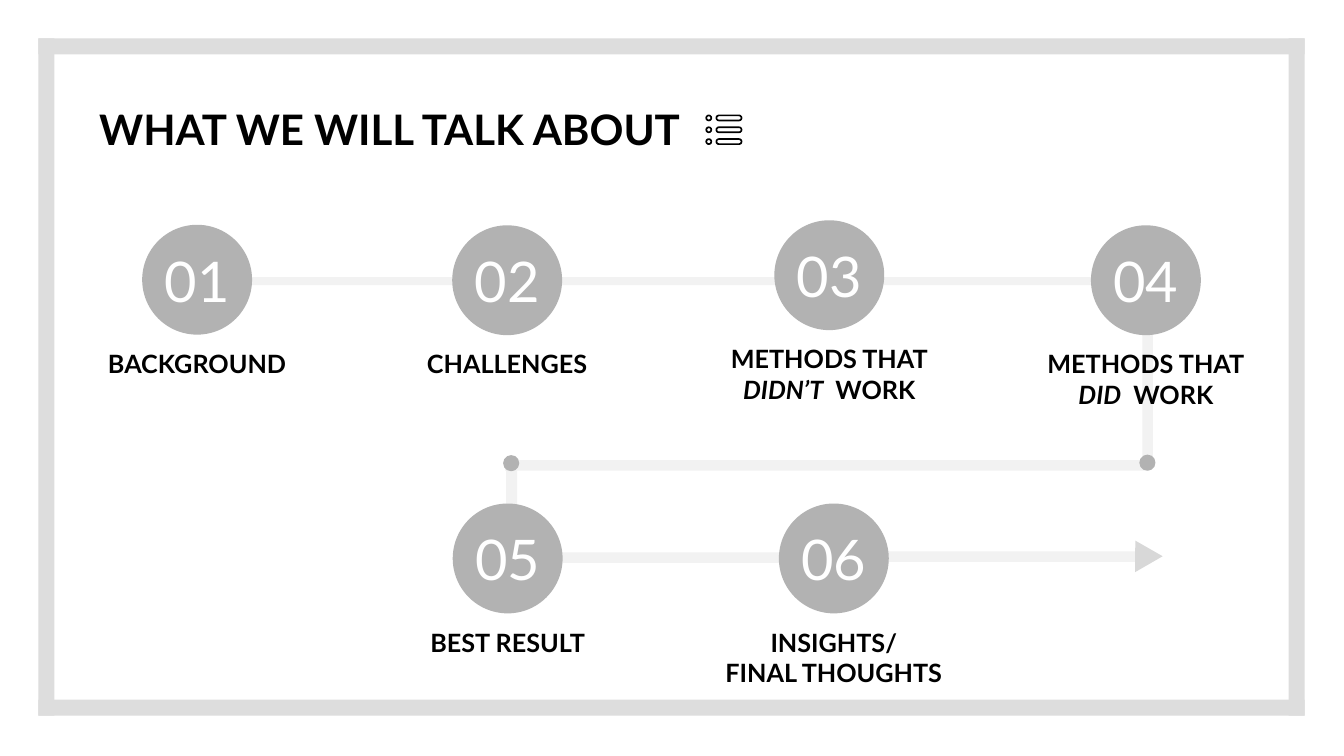
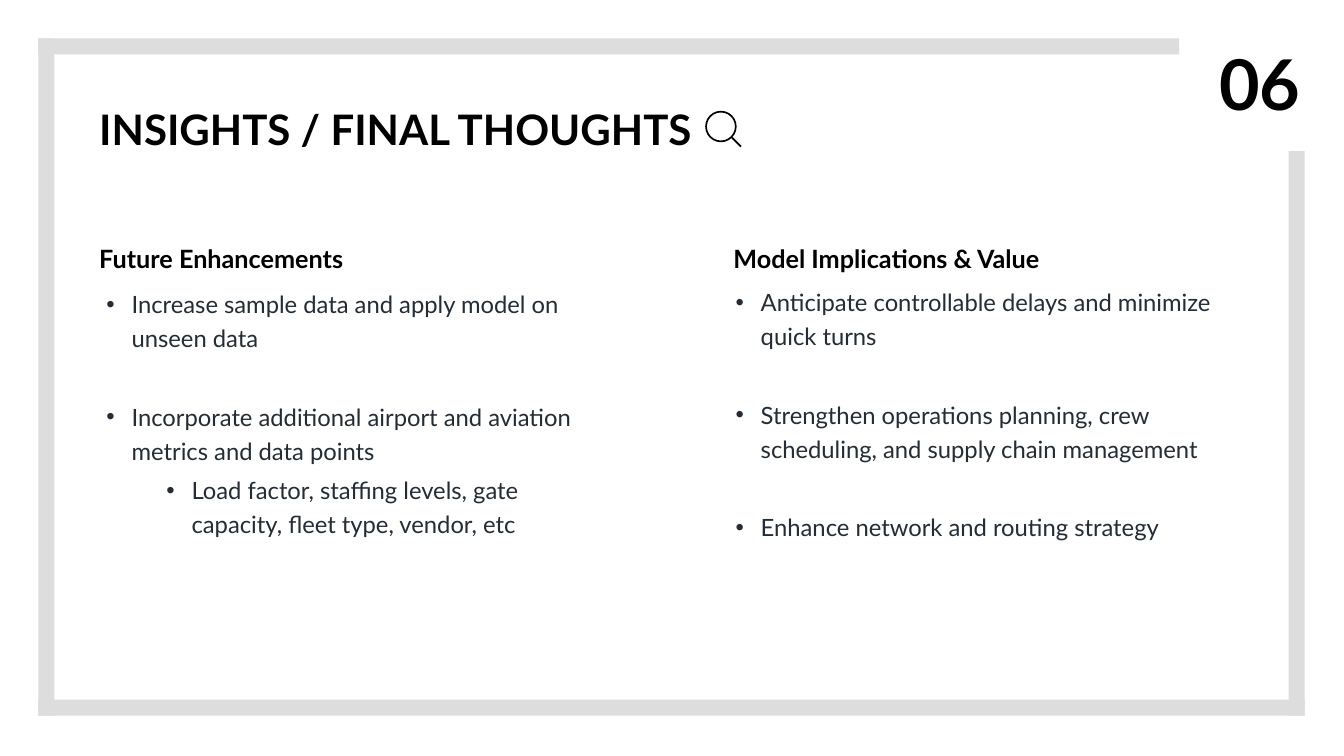
from lxml import etree
from pptx import Presentation, util as u
from pptx.dml.color import RGBColor
from pptx.enum import shapes, text
from pptx.oxml import ns

# The grid has square cells: 26.66 columns by 15 rows.
CELL = u.Inches(1)
COLUMNS, ROWS = 26.66, 15

BLACK = RGBColor(0x00, 0x00, 0x00)
WHITE = RGBColor(0xFF, 0xFF, 0xFF)
INK = RGBColor(0x24, 0x2C, 0x35)
FRAME_GRAY = RGBColor(0xDD, 0xDD, 0xDD)
TRACK_GRAY = RGBColor(0xF2, 0xF2, 0xF2)
ARROW_GRAY = RGBColor(0xD8, 0xD8, 0xD8)
STEP_GRAY = RGBColor(0xB2, 0xB2, 0xB2)

FONT = "Lato"
TITLE = {"size": u.Pt(60), "bold": True}
HEADING = {"size": u.Pt(36), "bold": True}
PAGE_NUMBER = {"size": u.Pt(100), "bold": True}
STEP_NUMBER = {"size": u.Pt(80), "color": WHITE}
BODY = {"size": u.Pt(34), "color": INK}

LEFT, TOP, RIGHT, BOTTOM, BAND = 0.76, 0.76, 25.88, 14.2, 0.32
CONTENT_LEFT = 1.87
STEP_SIZE, DOT_SIZE = 2.18, 0.32
LABEL_WIDTH, LABEL_DROP = 4.96, 1.31
ITEM_GAP = 6.8
GROUP_GAP = 62.6
ICON_LINE = u.Pt(2.4)

STEPS = [
    (3.91, 5.55, [["BACKGROUND"]]),
    (10.06, 5.56, [["CHALLENGES"]]),
    (16.45, 5.46, [["METHODS THAT"], ["*DIDN’T", "  WORK"]]),
    (22.73, 5.56, [["METHODS THAT"], ["*DID", "  WORK"]]),
    (10.07, 11.08, [["BEST RESULT"]]),
    (16.54, 11.08, [["INSIGHTS/"], ["FINAL THOUGHTS"]]),
]
TRACKS = [
    (3.83, 5.5, 6.42, 0.16),
    (10.11, 5.5, 6.28, 0.16),
    (16.47, 5.5, 6.16, 0.16),
    (22.66, 5.77, 0.21, 3.36),
    (10.02, 9.13, 12.79, 0.21),
    (10.04, 9.13, 0.22, 2.04),
    (10.02, 10.96, 6.58, 0.21),
    (16.48, 10.94, 6.15, 0.21),
]
CORNERS = [(22.76, 9.18), (10.14, 9.19)]

# Bullets: level, space before in points, wording
ENHANCEMENTS = [
    (0, 0, "Increase sample data and apply model on unseen data"),
    (0, GROUP_GAP, "Incorporate additional airport and aviation metrics and data points"),
    (1, ITEM_GAP, "Load factor, staffing levels, gate capacity, fleet type, vendor, etc"),
]
IMPLICATIONS = [
    (0, 0, "Anticipate controllable delays and minimize quick turns"),
    (0, GROUP_GAP, "Strengthen operations planning, crew scheduling, and supply chain management"),
    (0, GROUP_GAP, "Enhance network and routing strategy"),
]


def cells(*lengths):
    return [round(length * CELL) for length in lengths]


def set_attributes(target, values):
    for name, value in values.items():
        setattr(target, name, value)


def add_run(paragraph, wording, style):
    """Add a run; a leading asterisk marks italics."""
    run = paragraph.add_run()
    run.text = wording.lstrip("*")
    values = {"name": FONT, "italic": wording.startswith("*") or None, **style}
    run.font.color.rgb = values.pop("color", BLACK)
    set_attributes(run.font, values)


def add_form(slide, kind, box, fill=None, line_width=None):
    """Add a flat preset shape, either filled or outlined in black."""
    shape = slide.shapes.add_shape(kind, *cells(*box))
    shape.shadow.inherit = False
    if fill is None:
        shape.fill.background()
    else:
        shape.fill.solid()
        shape.fill.fore_color.rgb = fill
    if line_width is None:
        shape.line.fill.background()
    else:
        shape.line.color.rgb = BLACK
        shape.line.width = line_width
    return shape


def add_disc(slide, center_x, center_y, size, **look):
    box = (center_x - size / 2, center_y - size / 2, size, size)
    return add_form(slide, shapes.MSO_SHAPE.OVAL, box, **look)


def add_text(slide, box, lines, style, align=text.PP_ALIGN.LEFT):
    """Add a text box; each line is a list of run wordings."""
    frame = slide.shapes.add_textbox(*cells(*box)).text_frame
    frame.word_wrap = True
    for index, wordings in enumerate(lines):
        paragraph = frame.add_paragraph() if index else frame.paragraphs[0]
        paragraph.alignment = align
        for wording in wordings:
            add_run(paragraph, wording, style)


def add_title(slide, wording):
    add_text(slide, (CONTENT_LEFT, 2.01, 12.84, 1.11), [[wording]], TITLE)


def add_frame(slide, top_end=RIGHT, right_start=TOP):
    """Draw the four bands, which may leave the upper right corner open."""
    bands = [
        (LEFT, TOP, top_end - LEFT, BAND),
        (LEFT, BOTTOM - BAND, RIGHT - LEFT, BAND),
        (LEFT, TOP, BAND, BOTTOM - TOP),
        (RIGHT - BAND, right_start, BAND, BOTTOM - right_start),
    ]
    for band in bands:
        add_form(slide, shapes.MSO_SHAPE.RECTANGLE, band, FRAME_GRAY)


def add_step(slide, number, center_x, center_y, label):
    disc = add_disc(slide, center_x, center_y, STEP_SIZE, fill=STEP_GRAY)
    frame = disc.text_frame
    margins = dict.fromkeys(("margin_left", "margin_right", "margin_top", "margin_bottom"), 0)
    set_attributes(frame, {**margins, "word_wrap": False,
                           "vertical_anchor": text.MSO_ANCHOR.MIDDLE})
    frame.paragraphs[0].alignment = text.PP_ALIGN.CENTER
    add_run(frame.paragraphs[0], f"{number:02d}", STEP_NUMBER)
    box = (center_x - LABEL_WIDTH / 2, center_y + LABEL_DROP, LABEL_WIDTH, 0.11 + 0.6 * len(label))
    add_text(slide, box, label, HEADING, text.PP_ALIGN.CENTER)


def add_list_icon(slide):
    for row in range(3):
        center_y = 2.34 + row * 0.235
        add_disc(slide, 14.06, center_y, 0.1, line_width=ICON_LINE)
        pill = add_form(slide, shapes.MSO_SHAPE.ROUNDED_RECTANGLE,
                        (14.21, center_y - 0.05, 0.5, 0.1), line_width=ICON_LINE)
        pill.adjustments[0] = 0.5


def add_search_icon(slide):
    add_disc(slide, 14.3, 2.51, 0.59, line_width=ICON_LINE)
    handle = slide.shapes.add_connector(shapes.MSO_CONNECTOR.STRAIGHT,
                                        *cells(14.52, 2.73, 14.7, 2.91))
    handle.line.color.rgb = BLACK
    handle.line.width = ICON_LINE
    etree.SubElement(handle._element.spPr, ns.qn("a:effectLst"))


def add_bullet(paragraph, level):
    properties = paragraph._p.get_or_add_pPr()
    properties.set("marL", str(u.Inches((0.5, 1.69)[level])))
    properties.set("indent", str(u.Inches(-0.5)))
    color = etree.SubElement(properties, ns.qn("a:buClr"))
    etree.SubElement(color, ns.qn("a:srgbClr"), val=str(INK))
    etree.SubElement(properties, ns.qn("a:buFont"), typeface="Arial")
    etree.SubElement(properties, ns.qn("a:buChar"), char="•")


def add_bullets(slide, box, items):
    frame = slide.shapes.add_textbox(*cells(*box)).text_frame
    side, end = cells(0.24, 0.12)
    set_attributes(frame, {"word_wrap": True, "margin_left": side, "margin_right": side,
                           "margin_top": end, "margin_bottom": end})
    for index, (level, gap, wording) in enumerate(items):
        paragraph = frame.add_paragraph() if index else frame.paragraphs[0]
        set_attributes(paragraph, {"level": level, "line_spacing": 1.2, "space_before": u.Pt(gap)})
        add_bullet(paragraph, level)
        add_run(paragraph, wording, BODY)


def build_agenda(slide):
    add_frame(slide)
    add_title(slide, "WHAT WE WILL TALK ABOUT")
    add_list_icon(slide)
    for track in TRACKS:
        add_form(slide, shapes.MSO_SHAPE.RECTANGLE, track, TRACK_GRAY)
    for center_x, center_y in CORNERS:
        add_disc(slide, center_x, center_y, DOT_SIZE, fill=STEP_GRAY)
    arrowhead = add_form(slide, shapes.MSO_SHAPE.ISOSCELES_TRIANGLE,
                         (22.34, 10.69, 0.63, 0.54), ARROW_GRAY)
    arrowhead.rotation = 330
    for number, step in enumerate(STEPS, start=1):
        add_step(slide, number, *step)


def build_insights(slide):
    add_frame(slide, top_end=23.39, right_start=3)
    add_title(slide, "INSIGHTS / FINAL THOUGHTS")
    add_search_icon(slide)
    add_text(slide, (23.67, TOP, 2.22, 1.78), [["06"]], PAGE_NUMBER, text.PP_ALIGN.RIGHT)
    sections = [
        (CONTENT_LEFT, "Future Enhancements", (CONTENT_LEFT, 5.52, 10.05, 5.95), ENHANCEMENTS),
        (14.45, "Model Implications & Value", (14.35, 5.48, 10.05, 5.38), IMPLICATIONS),
    ]
    for left, heading, box, items in sections:
        add_text(slide, (left, 4.77, 6.78, 0.71), [[heading]], HEADING)
        add_bullets(slide, box, items)


def main():
    presentation = Presentation()
    presentation.slide_width, presentation.slide_height = cells(COLUMNS, ROWS)
    blank = presentation.slide_layouts[6]
    for build in (build_agenda, build_insights):
        build(presentation.slides.add_slide(blank))
    presentation.save("out.pptx")


if __name__ == "__main__":
    main()
